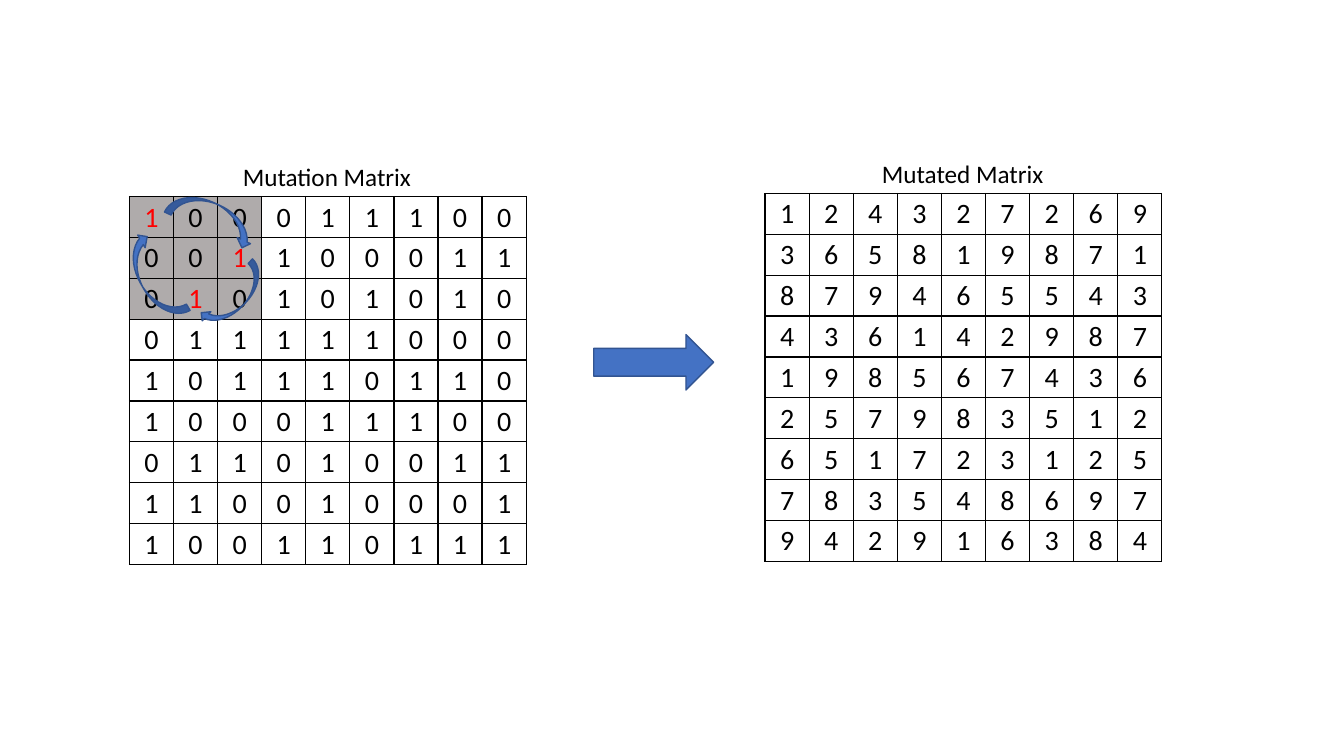
"""Build the slide that shows a mutation matrix turning into a mutated matrix."""
import dataclasses
import typing

import lxml.etree
import pptx
import pptx.dml.color
import pptx.enum.shapes
import pptx.enum.text
import pptx.oxml.ns
import pptx.util

Pt = pptx.util.Pt
ShapeKind = pptx.enum.shapes.MSO_SHAPE

COLORS = {
    "text": "000000",
    "border": "000000",
    "mutated": "FF0000",
    "block": "AFABAB",
    "arrow": "4472C4",
    "arrow_line": "325491",
}
FONT = "Calibri"
COLUMN_WIDTH = 31.5
ROW_HEIGHT = 29.2
BLOCK_SIZE = 3


@dataclasses.dataclass(frozen=True)
class Matrix:
    """A captioned grid of digits, one string for each row."""

    caption: str
    caption_left: float
    caption_top: float
    caption_width: float
    left: float
    top: float
    rows: tuple[str, ...]
    has_block: bool = False
    mutated: frozenset[tuple[int, int]] = frozenset()


@dataclasses.dataclass(frozen=True)
class Arrow:
    """A filled block arrow."""

    kind: typing.Any
    left: float
    top: float
    width: float
    height: float
    rotation: float = 0


MATRICES = (
    Matrix(
        "Mutation Matrix", 166.3, 111.6, 136.1, 92.4, 140.4,
        ("100011100", "001100011", "010101010", "011111000", "101110110",
         "100011100", "011010011", "110010001", "100110111"),
        True,
        frozenset({(0, 0), (1, 2), (2, 1)}),
    ),
    Matrix(
        "Mutated Matrix", 622.8, 109.4, 131, 546.5, 138.2,
        ("124327269", "365819871", "879465543", "436142987", "198567436",
         "257983512", "651723125", "783548697", "942916384"),
    ),
)

ARROWS = (
    Arrow(ShapeKind.CURVED_DOWN_ARROW, 118.8, 145.4, 66.2, 20.9, 24.8),
    Arrow(ShapeKind.CURVED_DOWN_ARROW, 138.2, 203, 57.6, 18, 133.6),
    Arrow(ShapeKind.CURVED_DOWN_ARROW, 77, 187.9, 66.2, 20.9, 239.8),
    Arrow(ShapeKind.RIGHT_ARROW, 424.1, 239, 85.7, 39.6),
)


def rgb(name: str) -> pptx.dml.color.RGBColor:
    """Return the named colour."""
    return pptx.dml.color.RGBColor.from_string(COLORS[name])


def add_run(paragraph: typing.Any, text: str, size: float, color: str) -> None:
    """Add one formatted run to a paragraph."""
    run = paragraph.add_run()
    run.text = text
    run.font.name = FONT
    run.font.size = Pt(size)
    run.font.color.rgb = rgb(color)


def add_borders(cell: typing.Any) -> None:
    """Give a cell a thin solid line on all four sides."""
    qn = pptx.oxml.ns.qn
    properties = cell._tc.get_or_add_tcPr()
    for side in ("a:lnL", "a:lnR", "a:lnT", "a:lnB"):
        line = lxml.etree.SubElement(properties, qn(side), w=str(Pt(1)))
        fill = lxml.etree.SubElement(line, qn("a:solidFill"))
        lxml.etree.SubElement(fill, qn("a:srgbClr"), val=COLORS["border"])


def format_cell(cell: typing.Any, digit: str, color: str, shaded: bool) -> None:
    """Write a digit into a cell and set the cell's look."""
    cell.margin_left = cell.margin_right = cell.margin_top = Pt(0.7)
    cell.margin_bottom = Pt(0)
    cell.vertical_anchor = pptx.enum.text.MSO_ANCHOR.MIDDLE
    add_borders(cell)
    if shaded:
        cell.fill.solid()
        cell.fill.fore_color.rgb = rgb("block")
    else:
        cell.fill.background()
    paragraph = cell.text_frame.paragraphs[0]
    paragraph.alignment = pptx.enum.text.PP_ALIGN.CENTER
    add_run(paragraph, digit, 20, color)


def add_matrix(slide: typing.Any, matrix: Matrix) -> None:
    """Draw a matrix as a table with its caption above."""
    row_count, column_count = len(matrix.rows), len(matrix.rows[0])
    table = slide.shapes.add_table(
        row_count, column_count, Pt(matrix.left), Pt(matrix.top),
        Pt(COLUMN_WIDTH * column_count), Pt(ROW_HEIGHT * row_count),
    ).table
    table.first_row = table.horz_banding = False
    for column in table.columns:
        column.width = Pt(COLUMN_WIDTH)
    for row_index, digits in enumerate(matrix.rows):
        table.rows[row_index].height = Pt(ROW_HEIGHT)
        for column_index, digit in enumerate(digits):
            position = (row_index, column_index)
            color = "mutated" if position in matrix.mutated else "text"
            shaded = matrix.has_block and max(position) < BLOCK_SIZE
            format_cell(table.cell(*position), digit, color, shaded)

    caption = slide.shapes.add_textbox(
        Pt(matrix.caption_left), Pt(matrix.caption_top),
        Pt(matrix.caption_width), Pt(29),
    )
    caption.text_frame.word_wrap = False
    caption.text_frame.auto_size = pptx.enum.text.MSO_AUTO_SIZE.SHAPE_TO_FIT_TEXT
    add_run(caption.text_frame.paragraphs[0], matrix.caption, 18, "text")


def add_arrow(slide: typing.Any, arrow: Arrow) -> None:
    """Draw one block arrow."""
    shape = slide.shapes.add_shape(
        arrow.kind, Pt(arrow.left), Pt(arrow.top), Pt(arrow.width), Pt(arrow.height)
    )
    shape.rotation = arrow.rotation
    shape.shadow.inherit = False
    shape.fill.solid()
    shape.fill.fore_color.rgb = rgb("arrow")
    shape.line.color.rgb = rgb("arrow_line")
    shape.line.width = Pt(1)


def main() -> None:
    """Build and save the presentation."""
    presentation = pptx.Presentation()
    presentation.slide_width = Pt(960)
    presentation.slide_height = Pt(540)
    slide = presentation.slides.add_slide(presentation.slide_layouts[6])
    for matrix in MATRICES:
        add_matrix(slide, matrix)
    for arrow in ARROWS:
        add_arrow(slide, arrow)
    presentation.save("out.pptx")


if __name__ == "__main__":
    main()
